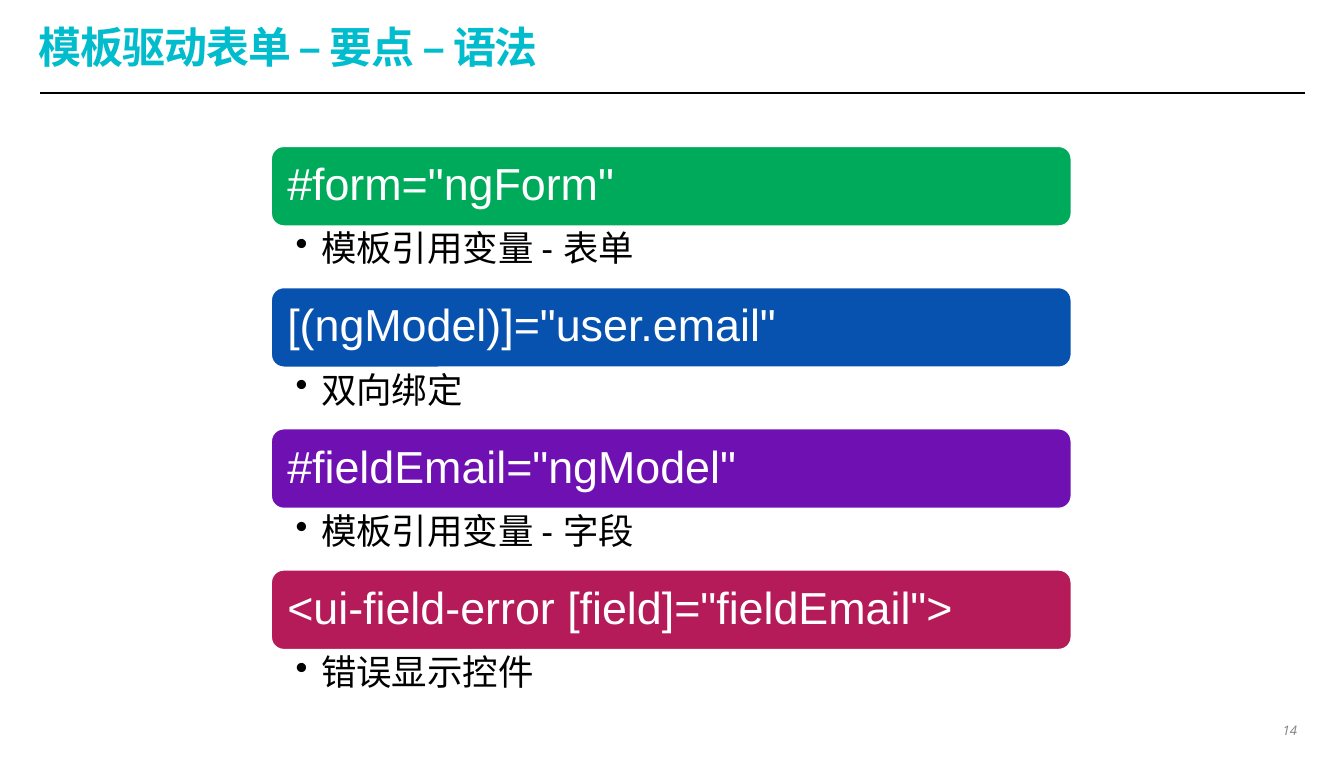
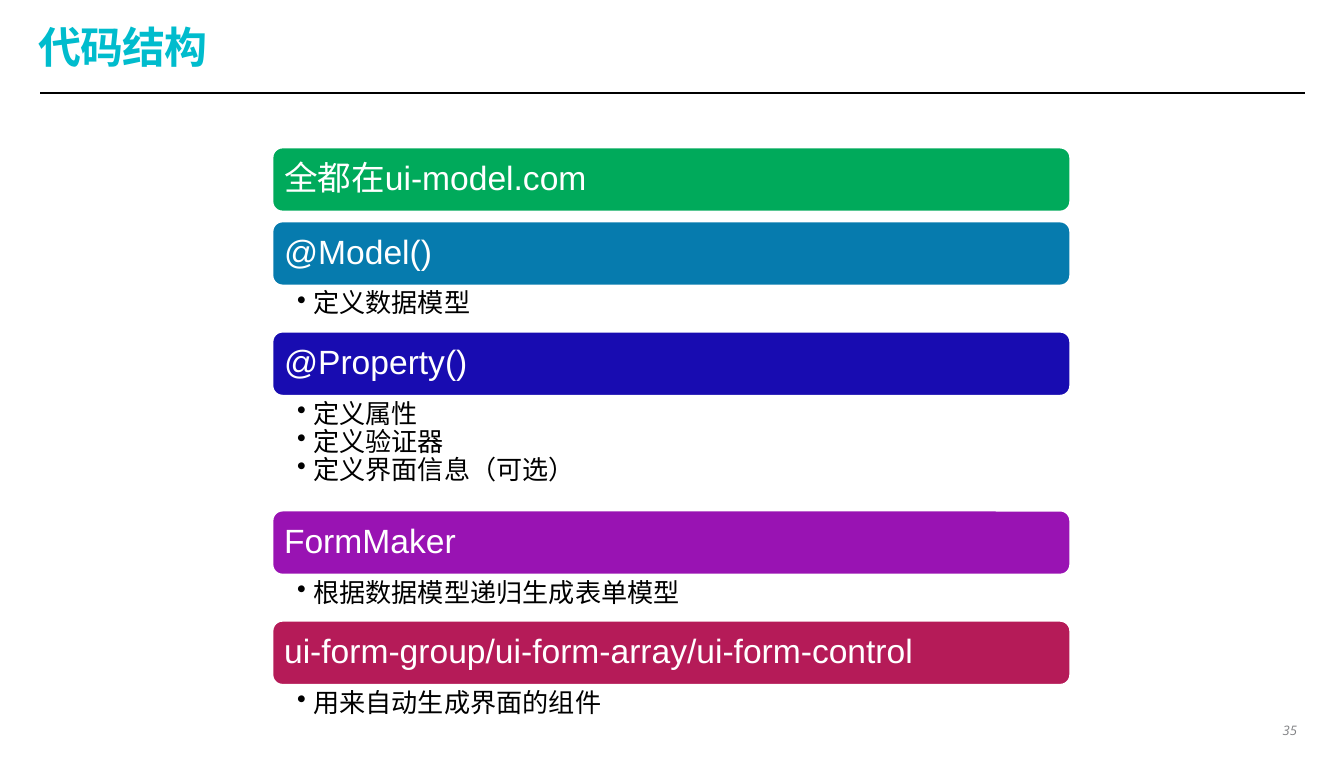
from lxml import etree
from pptx import Presentation
from pptx.dml.color import RGBColor
from pptx.enum.shapes import MSO_CONNECTOR, MSO_SHAPE
from pptx.enum.text import MSO_ANCHOR, MSO_AUTO_SIZE, PP_ALIGN
from pptx.oxml.ns import qn
from pptx.util import Inches, Pt

LINE, ROUNDED = MSO_CONNECTOR.STRAIGHT, MSO_SHAPE.ROUNDED_RECTANGLE
TOP, MIDDLE = MSO_ANCHOR.TOP, MSO_ANCHOR.MIDDLE
LEFT, RIGHT = PP_ALIGN.LEFT, PP_ALIGN.RIGHT
NO_FIT = MSO_AUTO_SIZE.NONE

WHITE = RGBColor(0xFF, 0xFF, 0xFF)
BLACK = RGBColor(0x00, 0x00, 0x00)
CYAN = RGBColor(0x00, 0xBC, 0xCD)
GRAY = RGBColor(0x80, 0x81, 0x84)
GREEN = RGBColor(0x00, 0xAA, 0x5B)
BLUE = RGBColor(0x08, 0x52, 0xAF)
TEAL = RGBColor(0x06, 0x7B, 0xAE)
NAVY = RGBColor(0x18, 0x0C, 0xB1)
VIOLET = RGBColor(0x6F, 0x11, 0xB2)
PURPLE = RGBColor(0x99, 0x13, 0xB3)
CRIMSON = RGBColor(0xB5, 0x1B, 0x58)

CJK_FONT = "Noto Sans CJK JP"
TITLE_FONT = {"name": CJK_FONT, "size": Pt(23), "bold": True}
NUMBER_FONT = {"name": "Open Sans", "size": Pt(7), "italic": True}

# Each band: colour, heading, bullets below it
SLIDES = [
    {
        "title": "模板驱动表单 – 要点 – 语法", "number": "14",
        "left": 2.01, "top": 1.08, "width": 5.97, "band": 0.61, "gap": 0.06,
        "heading_size": 24, "bullet_size": 19, "heading_inset": 0.1,
        "bullet_right": 0.19, "indent": 0.19, "bullet_heights": {1: 0.44},
        "bands": [
            (GREEN, '#form="ngForm"', ["模板引用变量 - 表单"]),
            (BLUE, '[(ngModel)]="user.email"', ["双向绑定"]),
            (VIOLET, '#fieldEmail="ngModel"', ["模板引用变量 - 字段"]),
            (CRIMSON, '<ui-field-error [field]="fieldEmail">', ["错误显示控件"]),
        ],
    },
    {
        "title": "代码结构", "number": "35",
        "left": 2.02, "top": 1.09, "width": 5.95, "band": 0.49, "gap": 0.06,
        "heading_size": 18, "bullet_size": 14, "heading_inset": 0.07,
        "bullet_right": 0.14, "indent": 0.12, "bullet_heights": {1: 0.33, 3: 0.84},
        "bands": [
            (GREEN, "全都在ui-model.com", []),
            (TEAL, "@Model()", ["定义数据模型"]),
            (NAVY, "@Property()", ["定义属性", "定义验证器", "定义界面信息（可选）"]),
            (PURPLE, "FormMaker", ["根据数据模型递归生成表单模型"]),
            (CRIMSON, "ui-form-group/ui-form-array/ui-form-control",
             ["用来自动生成界面的组件"]),
        ],
    },
]


def set_frame(frame, insets, anchor, wrap=True):
    values = {"auto_size": NO_FIT, "word_wrap": wrap, "vertical_anchor": anchor}
    sides = ("margin_left", "margin_top", "margin_right", "margin_bottom")
    values.update(zip(sides, map(Inches, insets)))
    for name, value in values.items():
        setattr(frame, name, value)


def write_lines(frame, lines, font, color, spacing=0.9, align=LEFT, indent=None):
    for index, line in enumerate(lines):
        para = frame.add_paragraph() if index else frame.paragraphs[0]
        para.alignment, para.line_spacing = align, spacing
        if indent:
            properties = para._p.get_or_add_pPr()
            properties.set("lvl", "1")
            properties.set("marL", str(Inches(indent)))
            properties.set("indent", str(-Inches(indent)))
            etree.SubElement(properties, qn("a:buChar")).set("char", "•")
        span = para.add_run()
        span.text = line
        for name, value in font.items():
            setattr(span.font, name, value)
        span.font.color.rgb = color
        run_properties = span._r.get_or_add_rPr()
        run_properties.set("lang", "zh-CN")
        etree.SubElement(run_properties, qn("a:ea")).set("typeface", CJK_FONT)


deck = Presentation()
deck.slide_width, deck.slide_height = Inches(10), Inches(5.63)

for content in SLIDES:
    page = deck.slides.add_slide(deck.slide_layouts[5])

    # Title
    title = page.shapes.title
    title.left, title.top = Inches(0.29), Inches(0.18)
    title.width, title.height = Inches(9.41), Inches(0.42)
    set_frame(title.text_frame, (0, 0, 0, 0), MIDDLE)
    write_lines(title.text_frame, [content["title"]], TITLE_FONT, CYAN, spacing=0.7)
    title.text_frame.paragraphs[0].runs[0]._r.rPr.set("spc", "-60")

    # Rule under the title
    rule = page.shapes.add_connector(
        LINE, Inches(0.3), Inches(0.69), Inches(9.71), Inches(0.69))
    rule.line.color.rgb, rule.line.width = BLACK, Pt(1)
    etree.SubElement(rule._element.spPr, qn("a:effectLst"))

    # Slide number
    number = page.shapes.add_textbox(
        Inches(9.5), Inches(5.34), Inches(0.21), Inches(0.17))
    set_frame(number.text_frame, (0.06, 0.03, 0.06, 0.03), TOP, wrap=False)
    write_lines(number.text_frame, [content["number"]], NUMBER_FONT, GRAY,
                spacing=1.0, align=RIGHT)

    # Stacked bands, each followed by its bullets or a gap
    left, width = Inches(content["left"]), Inches(content["width"])
    heading_font = {"name": "Arial", "size": Pt(content["heading_size"])}
    bullet_font = {"name": "Arial", "size": Pt(content["bullet_size"])}
    top = content["top"]
    for color, heading, bullets in content["bands"]:
        band = page.shapes.add_shape(
            ROUNDED, left, Inches(top), width, Inches(content["band"]))
        band.shadow.inherit = False
        band.fill.solid()
        band.fill.fore_color.rgb = color
        band.line.color.rgb, band.line.width = WHITE, Pt(2)
        set_frame(band.text_frame, [content["heading_inset"]] * 4, MIDDLE)
        write_lines(band.text_frame, [heading], heading_font, WHITE)
        top += content["band"]

        if not bullets:
            top += content["gap"]
            continue
        height = content["bullet_heights"][len(bullets)]
        box = page.shapes.add_textbox(left, Inches(top), width, Inches(height))
        set_frame(box.text_frame, (0.19, 0.03, content["bullet_right"], 0.03), TOP)
        write_lines(box.text_frame, bullets, bullet_font, BLACK,
                    indent=content["indent"])
        top += height

deck.save("out.pptx")
